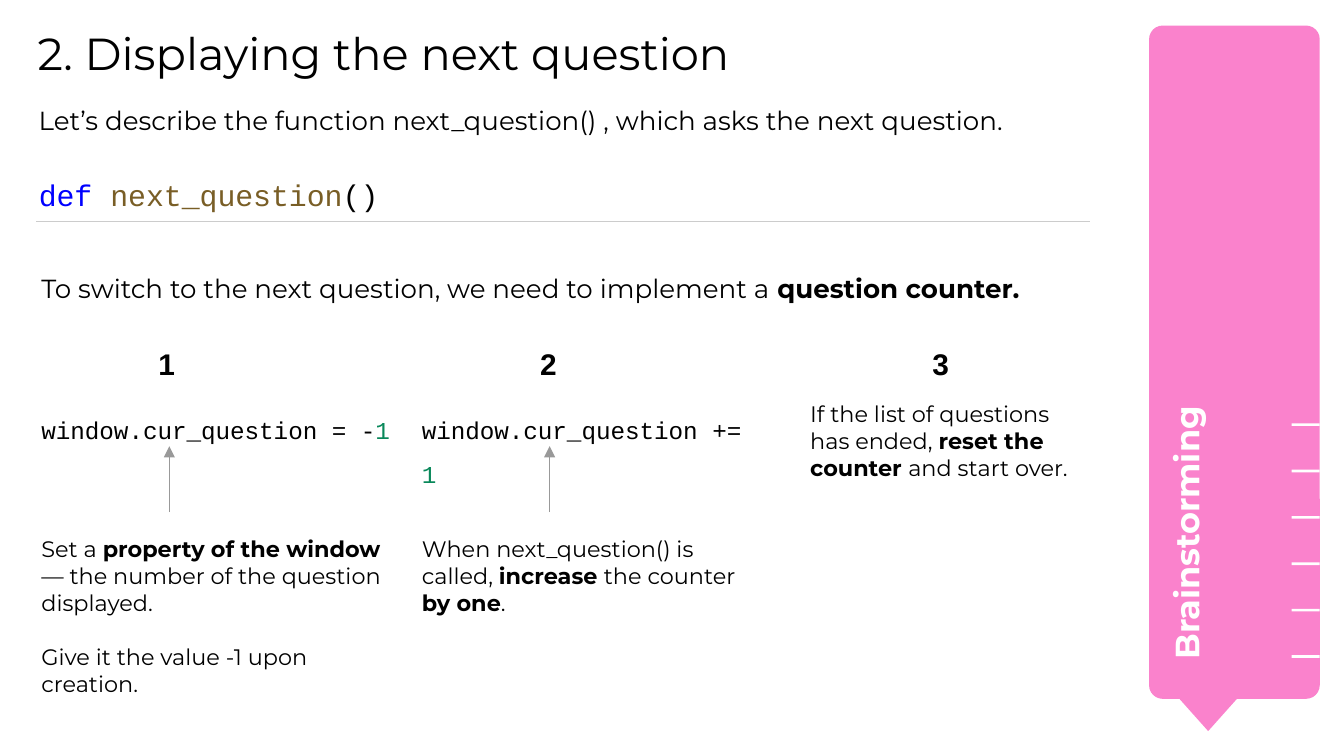
from lxml import etree
from pptx import Presentation
from pptx.dml.color import RGBColor
from pptx.enum.shapes import MSO_CONNECTOR, MSO_SHAPE
from pptx.enum.text import MSO_ANCHOR, PP_ALIGN
from pptx.oxml.ns import qn
from pptx.util import Inches, Pt

LINE = MSO_CONNECTOR.STRAIGHT
RECT, ROUND, MERGE = MSO_SHAPE.RECTANGLE, MSO_SHAPE.ROUNDED_RECTANGLE, MSO_SHAPE.FLOWCHART_MERGE
TOP, LEFT = MSO_ANCHOR.TOP, PP_ALIGN.LEFT

BLACK = RGBColor(0x00, 0x00, 0x00)
WHITE = RGBColor(0xFF, 0xFF, 0xFF)
PINK = RGBColor(0xFA, 0x82, 0xCC)
GREY = RGBColor(0x99, 0x99, 0x99)
PALE = RGBColor(0xCC, 0xCC, 0xCC)
BLUE = RGBColor(0x00, 0x00, 0xFF)
BROWN = RGBColor(0x79, 0x5E, 0x26)
GREEN = RGBColor(0x09, 0x88, 0x5A)

SANS, MONO, ARIAL = "Montserrat", "Courier New", "Arial"
COLS = (0.21, 3.04, 5.93)
NUM_ROW, CODE_ROW, NOTE_ROW = 2.47, 2.88, 3.88
WIDE = 2.73


def plain(text, color=BLACK):
    return [(part, i % 2 == 1, color) for i, part in enumerate(text.split("*"))]


def code(*parts):
    return [(text, False, color) for text, color in parts]


def fill_text(frame, paras, size, font, inset=0.1, spacing=None, gap=0):
    frame.word_wrap = True
    frame.vertical_anchor = TOP
    frame.margin_left = frame.margin_right = Inches(inset)
    frame.margin_top = frame.margin_bottom = Inches(inset)
    for i, parts in enumerate(paras):
        para = frame.add_paragraph() if i else frame.paragraphs[0]
        para.alignment = LEFT
        para.line_spacing = spacing
        para.space_before = Pt(gap if i else 0)
        for text, bold, color in parts:
            if not text:
                continue
            run = para.add_run()
            run.text = text
            run.font.size = Pt(size)
            run.font.name = font
            run.font.bold = bold
            run.font.color.rgb = color


def add_text(slide, box, paras, size, font=SANS, **style):
    shape = slide.shapes.add_textbox(*map(Inches, box))
    fill_text(shape.text_frame, paras, size, font, **style)
    return shape


def add_block(shapes, kind, box, color):
    shape = shapes.add_shape(kind, *map(Inches, box))
    shape.shadow.inherit = False
    shape.fill.solid()
    shape.fill.fore_color.rgb = color
    shape.line.fill.background()
    return shape


def add_line(slide, ends, color, arrow=False):
    line = slide.shapes.add_connector(LINE, *map(Inches, ends))
    line.line.color.rgb = color
    line.line.width = Pt(0.75)
    if arrow:
        etree.SubElement(line.get_or_add_ln(), qn("a:tailEnd"), type="triangle")
    etree.SubElement(line._element.spPr, qn("a:effectLst"))


def add_title(slide, text):
    title = slide.shapes.title
    title.left, title.top, title.width, title.height = map(Inches, (0.28, 0.19, 7.91, 0.56))
    fill_text(title.text_frame, [plain(text)], 24, SANS, inset=0)


def add_banner(slide, text):
    group = slide.shapes.add_group_shape()
    body = add_block(group.shapes, ROUND, (8.55, 0.19, 1.27, 5.01), PINK)
    body.adjustments[0] = 0.08
    add_block(group.shapes, MERGE, (8.66, 5.07, 0.66, 0.37), PINK)
    for i in range(6):
        add_block(slide.shapes, RECT, (9.61, 3.15 + i * 0.345, 0.21, 0.02), WHITE)
    label = add_text(slide, (7.14, 2.9, 3.54, 0.67), [plain(f"*{text}*", WHITE)], 18)
    label.rotation = 270


def add_step(slide, left, width, *parts):
    add_text(slide, (left, CODE_ROW, width, 0.61), [code(*parts)], 13, MONO, spacing=1.5)
    add_line(slide, (left + 1.05, 3.81, left + 1.05, 3.32), GREY, arrow=True)


def main():
    deck = Presentation()
    deck.slide_width = Inches(10)
    deck.slide_height = deck.slide_width * 9 // 16
    slide = deck.slides.add_slide(deck.slide_layouts[5])
    add_banner(slide, "Brainstorming")
    add_title(slide, "2. Displaying the next question")

    intro = "Let’s describe the function next_question() , which asks the next question."
    add_text(slide, (0.19, 0.68, 8.07, 0.46), [plain(intro)], 14)
    head = code(("def", BLUE), (" ", BLACK), ("next_question", BROWN), ("()", BLACK))
    add_text(slide, (0.19, 1.08, 7.91, 0.51), [head], 16, MONO, spacing=1.5)
    add_line(slide, (0.27, 1.65, 8.11, 1.65), PALE)
    need = "To switch to the next question, we need to implement a *question counter.*"
    add_text(slide, (COLS[0], 1.93, 8, 0.61), [plain(need)], 14)

    for i, left in enumerate((1.08, 3.92, 6.84), 1):
        add_text(slide, (left, NUM_ROW, 0.36, 0.46), [plain(f"*{i}*")], 16, ARIAL)

    add_step(slide, COLS[0], 2.84, ("window.cur_question = -", BLACK), ("1", GREEN))
    add_step(slide, COLS[1], WIDE, ("window.cur_question += ", BLACK), ("1", GREEN))

    notes = (
        (NOTE_ROW, WIDE, (
            "Set a *property of the window* — the number of the question displayed.",
            "Give it the value -1 upon creation.")),
        (NOTE_ROW, WIDE, (
            "When next_question() is called, *increase *the counter",
            "*by one*.")),
        (CODE_ROW, 2.31, (
            "If the list of questions has ended, *reset the counter *and start over.",)),
    )
    for left, gap, (row, width, texts) in zip(COLS, (14.6, 0, 0), notes):
        paras = [plain(text) for text in texts]
        add_text(slide, (left, row, width, 0.98), paras, 12, gap=gap)

    deck.save("out.pptx")


if __name__ == "__main__":
    main()
